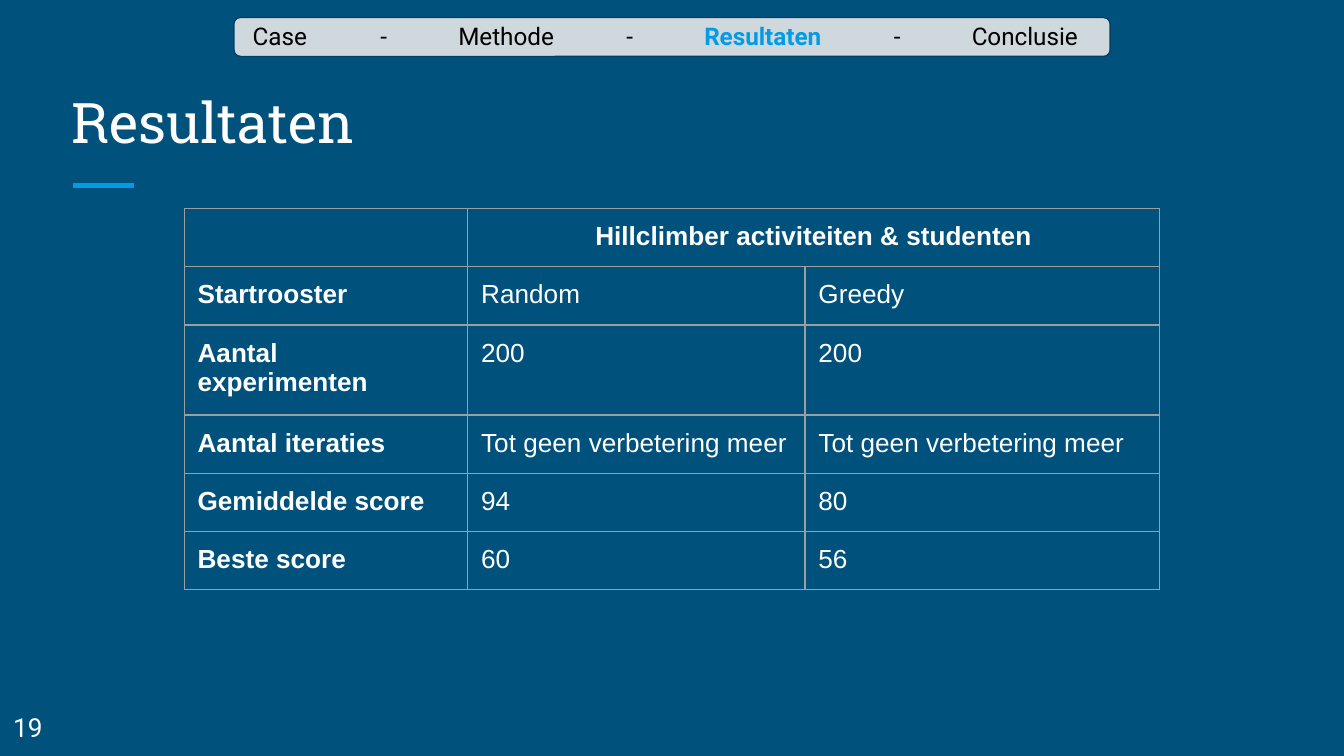
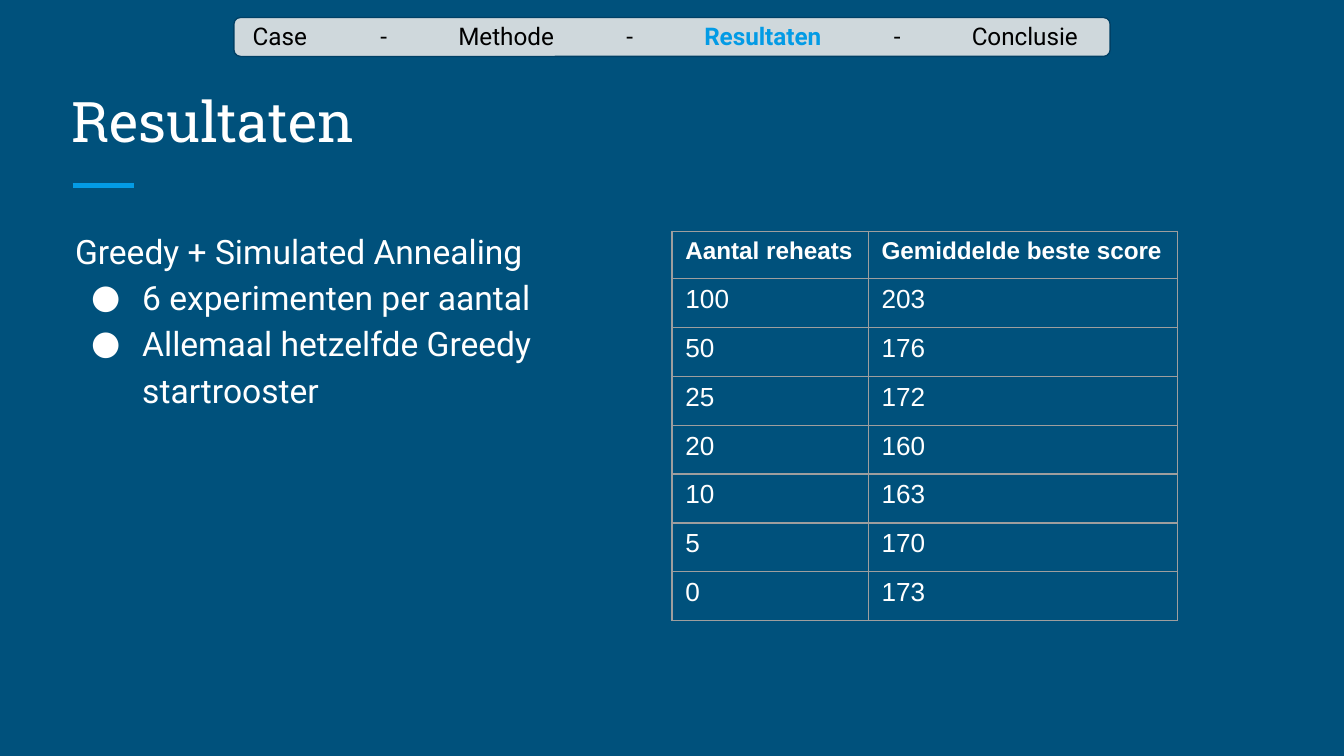
import pptx
import pptx.dml.color
import pptx.enum.shapes
import pptx.enum.text
import pptx.oxml.ns
import pptx.util
from lxml import etree

W = 10
H = W * 9 / 16
INSET = 0.1
NAVY, WHITE, BLACK = "00517C", "FFFFFF", "000000"
ACCENT, BAND, BAND_EDGE, GRID = "039BE5", "CFD8DC", "004065", "9E9E9E"
BODY, HEAD, CELL = "Roboto", "Roboto Slab", "Arial"

NAV = [("Case", 0), ("Methode", 1.53), ("Resultaten", 3.36), ("Conclusie", 5.35)]
CURRENT = "Resultaten"
DASH_GAP = 0.58
NAV_LEFT, NAV_WIDTH = 1.74, 6.52

SLIDES = [
    {
        "title": "Resultaten", "title_top": 0.5, "number": "19", "body": [],
        "table": {
            "at": (1.37, 1.55), "cols": [2.11, 2.51, 2.64],
            "heights": [0.43, 0.43, 0.67, 0.43, 0.43, 0.43],
            "spacing": 1, "head_size": 14, "bold_first_col": True, "span_head": True,
            "rows": [
                ("", "Hillclimber activiteiten & studenten", ""),
                ("Startrooster", "Random", "Greedy"),
                ("Aantal experimenten", "200", "200"),
                ("Aantal iteraties", "Tot geen verbetering meer", "Tot geen verbetering meer"),
                ("Gemiddelde score", "94", "80"),
                ("Beste score", "60", "56"),
            ],
        },
    },
    {
        "title": "Resultaten", "title_top": 0.49, "number": None,
        "body": [
            ("Greedy + Simulated Annealing", 0, 0),
            ("6 experimenten per aantal", 0.5, -0.38),
            ("Allemaal hetzelfde Greedy", 0.5, -0.38),
            ("startrooster", 0.5, 0),
        ],
        "table": {
            "at": (5, 1.72), "cols": [1.46, 2.3],
            "heights": [0.35] + [0.36] * 7,
            "spacing": 0.7, "head_size": 13, "bold_first_col": False, "span_head": False,
            "rows": [
                ("Aantal reheats", "Gemiddelde beste score"),
                ("100", "203"), ("50", "176"), ("25", "172"), ("20", "160"),
                ("10", "163"), ("5", "170"), ("0", "173"),
            ],
        },
    },
]


def rgb(value):
    return pptx.dml.color.RGBColor.from_string(value)


def inch(value):
    return pptx.util.Inches(value)


def sub(parent, tag, **attrs):
    el = etree.SubElement(parent, pptx.oxml.ns.qn(tag))
    for key, value in attrs.items():
        el.set(key, str(value))
    return el


def write(p, text, size=14, font=BODY, color=WHITE, bold=False, align=None, spacing=None):
    if align is not None:
        p.alignment = align
    if spacing is not None:
        p.line_spacing = spacing
    if not text:
        sub(p._p, "a:endParaRPr", sz=size * 100)
        return
    r = p.add_run()
    r.text = text
    r.font.size = pptx.util.Pt(size)
    r.font.name = font
    r.font.bold = bold
    r.font.color.rgb = rgb(color)


def set_margins(target):
    for side in ("left", "top", "right", "bottom"):
        setattr(target, "margin_" + side, inch(INSET))


def text_frame(slide, left, top, width, height, anchor="TOP"):
    tf = slide.shapes.add_textbox(*map(inch, (left, top, width, height))).text_frame
    tf.word_wrap = True
    tf.vertical_anchor = getattr(pptx.enum.text.MSO_ANCHOR, anchor)
    set_margins(tf)
    return tf


def add_nav(slide):
    sp = slide.shapes.add_shape(
        pptx.enum.shapes.MSO_SHAPE.ROUNDED_RECTANGLE,
        *map(inch, (NAV_LEFT, 0.13, NAV_WIDTH, 0.29)))
    sp.shadow.inherit = False
    sp.adjustments[0] = 0.17
    sp.fill.solid()
    sp.fill.fore_color.rgb = rgb(BAND)
    sp.line.color.rgb = rgb(BAND_EDGE)
    sp.line.width = pptx.util.Pt(0.75)

    tf = text_frame(slide, NAV_LEFT, 0.06, NAV_WIDTH, 0.42)
    tf.margin_left = inch(0.14)
    p = tf.paragraphs[0]
    tabs = sub(p._p.get_or_add_pPr(), "a:tabLst")
    for label, start in NAV:
        if start:
            for stop in (start - DASH_GAP, start):
                sub(tabs, "a:tab", pos=int(inch(stop)), algn="l")
            write(p, "\t-\t", size=13, color=BLACK)
        active = label == CURRENT
        write(p, label, size=13, color=ACCENT if active else BLACK, bold=active)


def add_frame(slide, title, top, number):
    slide.background.fill.solid()
    slide.background.fill.fore_color.rgb = rgb(NAVY)
    line = slide.shapes.add_connector(
        pptx.enum.shapes.MSO_CONNECTOR.STRAIGHT, *map(inch, (0.54, 1.38, 1, 1.38)))
    line.line.color.rgb = rgb(ACCENT)
    line.line.width = pptx.util.Pt(3)
    sub(line._element.spPr, "a:effectLst")
    tf = text_frame(slide, 0.43, top, 9.15, 0.75, anchor="BOTTOM")
    write(tf.paragraphs[0], title, size=30, font=HEAD)
    if number:
        tf = text_frame(slide, 0, 5.19, 0.55, 0.43)
        write(tf.paragraphs[0], number)
    add_nav(slide)


def add_body(slide, lines):
    tf = text_frame(slide, 0.46, 1.57, 9.15, 3.37)
    for i, (text, margin, indent) in enumerate(lines):
        p = tf.add_paragraph() if i else tf.paragraphs[0]
        write(p, text, size=18, spacing=1.15)
        pPr = p._p.get_or_add_pPr()
        pPr.set("marL", str(int(inch(margin))))
        pPr.set("indent", str(int(inch(indent))))
        if indent:
            sub(sub(pPr, "a:buClr"), "a:srgbClr", val=WHITE)
            sub(pPr, "a:buFont", typeface=BODY)
            sub(pPr, "a:buChar", char="●")


def style_cell(cell):
    set_margins(cell)
    tcPr = cell._tc.get_or_add_tcPr()
    for side in ("a:lnL", "a:lnR", "a:lnT", "a:lnB"):
        ln = sub(tcPr, side, w=int(pptx.util.Pt(0.75)))
        sub(sub(ln, "a:solidFill"), "a:srgbClr", val=GRID)
    cell.fill.background()


def add_table(slide, data):
    rows, cols, heights = (data[k] for k in ("rows", "cols", "heights"))
    left, top = data["at"]
    table = slide.shapes.add_table(
        len(rows), len(cols),
        *map(inch, (left, top, sum(cols), sum(heights)))).table
    table.first_row = table.horz_banding = False
    for col, width in zip(table.columns, cols):
        col.width = inch(width)
    for row, height in zip(table.rows, heights):
        row.height = inch(height)
    span = data["span_head"]
    if span:
        table.cell(0, 1).merge(table.cell(0, len(cols) - 1))
    for y, row in enumerate(rows):
        for x, text in enumerate(row):
            cell = table.cell(y, x)
            style_cell(cell)
            centred = span and y == 0 and x > 0
            write(cell.text_frame.paragraphs[0], text, font=CELL,
                  size=14 if y else data["head_size"],
                  bold=y == 0 or (x == 0 and data["bold_first_col"]),
                  align=pptx.enum.text.PP_ALIGN.CENTER if centred else None,
                  spacing=data["spacing"])


def main():
    prs = pptx.Presentation()
    prs.slide_width, prs.slide_height = inch(W), inch(H)
    for content in SLIDES:
        slide = prs.slides.add_slide(prs.slide_layouts[6])
        add_frame(slide, content["title"], content["title_top"], content["number"])
        if content["body"]:
            add_body(slide, content["body"])
        add_table(slide, content["table"])
    prs.save("out.pptx")


if __name__ == "__main__":
    main()
